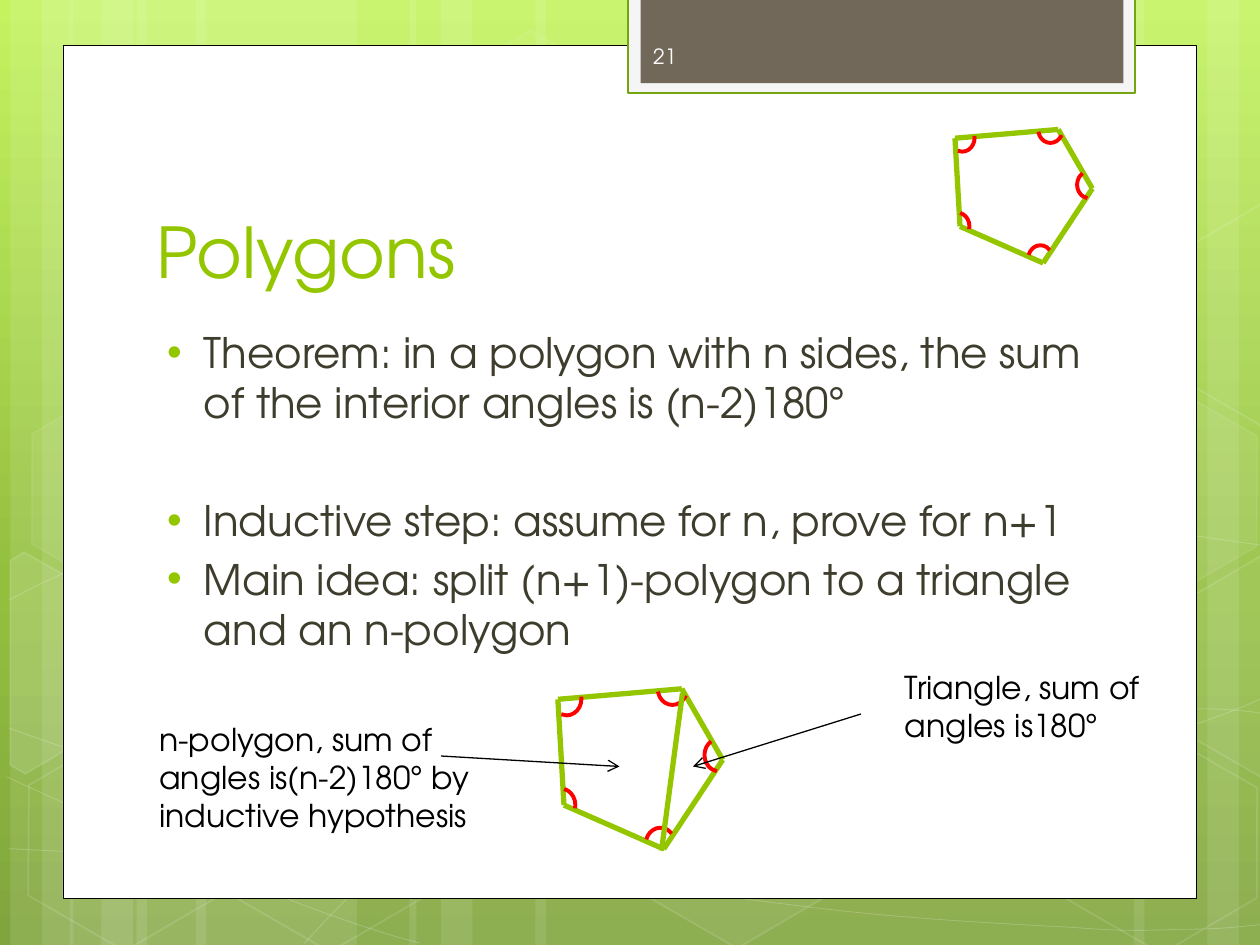
from dataclasses import dataclass
from math import cos, radians, sin

from lxml.etree import SubElement
from pptx import Presentation
from pptx.dml.color import RGBColor
from pptx.enum.shapes import MSO_CONNECTOR as Link, MSO_SHAPE as Preset
from pptx.enum.text import MSO_ANCHOR as Anchor, MSO_AUTO_SIZE as AutoSize
from pptx.oxml.ns import qn
from pptx.util import Pt


@dataclass(frozen=True)
class Theme:
    font: str = "TeX Gyre Adventor"
    white: str = "FFFFFF"
    black: str = "000000"
    green: str = "94C600"
    red: str = "FF0000"
    body_ink: str = "3E3D2D"
    tab_edge: str = "74A510"
    tab_mat: str = "F5F5F5"
    tab: str = "71685A"
    number_ink: str = "FEFEFE"
    backdrop: tuple = ((0, "C3F35F"), (62, "93BF3F"), (100, "81A53E"))
    title_size: int = 40
    body_size: int = 24
    label_size: int = 18
    number_size: int = 12


def paint(fill, color, opacity=100):
    if color is None:
        fill.background()
        return
    fill.solid()
    fill.fore_color.rgb = RGBColor.from_string(color)
    if opacity < 100:
        tint = fill._xPr.find(".//" + qn("a:srgbClr"))
        SubElement(tint, qn("a:alpha"), val=str(opacity * 1000))


def assign(target, values):
    for name, value in values.items():
        setattr(target, name, value)


def bend(shape):
    """Turn every three line segments of an outline into one cubic curve."""
    segments = shape._element.findall(".//" + qn("a:lnTo"))
    for first, second, third in zip(*[iter(segments)] * 3):
        first.tag = qn("a:cubicBezTo")
        for segment in (second, third):
            first.append(segment[0])
            segment.getparent().remove(segment)


def turn(points, center, degrees):
    c, s = cos(radians(degrees)), sin(radians(degrees))
    cx, cy = center
    return [(cx + (x - cx) * c - (y - cy) * s, cy + (x - cx) * s + (y - cy) * c)
            for x, y in points]


class Painter:
    def __init__(self, page, theme):
        self.page, self.theme = page, theme
        self.shapes = page.shapes

    def open_group(self):
        self.shapes = self.page.shapes.add_group_shape().shapes

    def close_group(self):
        self.shapes = self.page.shapes

    def backdrop(self):
        fill = self.page.background.fill
        fill.gradient()
        fill.gradient_angle = 270
        stops = self.page._element.find(".//" + qn("a:gsLst"))
        for stop in list(stops):
            stops.remove(stop)
        for position, color in self.theme.backdrop:
            stop = SubElement(stops, qn("a:gs"), pos=str(position * 1000))
            SubElement(stop, qn("a:srgbClr"), val=color)

    def finish(self, shape, fill=None, opacity=100, line=None, width=1, line_opacity=100):
        shape.shadow.inherit = False
        paint(shape.fill, fill, opacity)
        paint(shape.line.fill, line, line_opacity)
        if line:
            shape.line.width = Pt(width)

    def preset(self, kind, frame, adjust=(), rotation=0, **look):
        shape = self.shapes.add_shape(kind, *map(Pt, frame))
        for i, value in enumerate(adjust):
            shape.adjustments[i] = value
        shape.rotation = rotation
        self.finish(shape, **look)

    def outline(self, points, close=False, rotation=0, curved=False, **look):
        (x, y), *rest = [(Pt(x), Pt(y)) for x, y in points]
        builder = self.shapes.build_freeform(x, y, scale=1.0)
        builder.add_line_segments(rest, close=close)
        shape = builder.convert_to_shape()
        if curved:
            bend(shape)
        shape.rotation = rotation
        self.finish(shape, **look)

    def line(self, start, end, color, width, arrow=False):
        link = self.shapes.add_connector(Link.STRAIGHT, *map(Pt, (*start, *end)))
        paint(link.line.fill, color)
        link.line.width = Pt(width)
        if arrow:
            SubElement(link.line._get_or_add_ln(), qn("a:tailEnd"), type="arrow")
        SubElement(link._element.spPr, qn("a:effectLst"))

    def text(self, frame, lines, size, color, gaps=None, **format_values):
        """Write one paragraph per line; gaps (space before each) make it a bulleted list."""
        box = self.shapes.add_textbox(*map(Pt, frame)).text_frame
        assign(box, {"word_wrap": True, **format_values})
        for i, line in enumerate(lines):
            para = box.paragraphs[0] if i == 0 else box.add_paragraph()
            span = para.add_run()
            span.text = line
            assign(span.font, {"name": self.theme.font, "size": Pt(size)})
            span.font.color.rgb = RGBColor.from_string(color)
            if gaps:
                para.space_before = Pt(gaps[i])
                self.bullet(para)

    def bullet(self, para):
        props = para._p.get_or_add_pPr()
        props.set("marL", str(Pt(27)))
        props.set("indent", str(Pt(-21.6)))
        SubElement(SubElement(props, qn("a:buClr")), qn("a:srgbClr"), val=self.theme.green)
        SubElement(props, qn("a:buSzPct"), val="76000")
        SubElement(props, qn("a:buFont"), typeface=self.theme.font)
        SubElement(props, qn("a:buChar"), char="•")

    def pentagon(self, left, top, scale=1):
        def place(x, y):
            return left + x * scale, top + y * scale

        for start, end in SIDES:
            self.line(place(*start), place(*end), self.theme.green, 3)
        for x, y, *angles in ANGLE_MARKS:
            self.preset(Preset.ARC, (*place(x, y), 14.1 * scale, 15.6 * scale), angles,
                        line=self.theme.red, width=2.25)


A, B, C, D, E = (0, 5), (59, 0), (78.5, 33.8), (50.4, 76.3), (2.9, 55.4)
SIDES = [(A, B), (C, B), (D, C), (E, D), (A, E)]
ANGLE_MARKS = [(-2.9, -2.9, 210.32, 65.45), (47.5, -7.9, 16.7, 100.71),
               (69.8, 23.8, 59.06, 143.59), (41.8, 66.2, 119.16, 189.82),
               (-5.8, 47.5, 169.78, 8.13)]
BANDS = [(78, 126), (6, 36), (24, 60), (112, 126), (40, 36), (58, 60),
         (528, 126), (690, 36), (648, 60), (306, 222), (234, 36), (252, 60)]
# a start point, then three points for each cubic curve
CURVES = [
    [(5, 485), (44, 487), (83, 489), (137, 488), (191, 487), (258, 486), (330, 479),
     (402, 472), (504, 458), (570, 444), (636, 431), (703, 409), (725, 397)],
    [(5, 343), (26, 332), (47, 321), (87, 310), (128, 300), (186, 284), (250, 279),
     (314, 274), (392, 273), (471, 279), (550, 284), (682, 307), (725, 312)],
    [(4, 444), (91, 484), (178, 523), (240, 539)],
    [(5, 416), (27, 424), (50, 432), (92, 444), (134, 454), (197, 472), (257, 485),
     (317, 497), (392, 510), (452, 517), (512, 525), (576, 528), (614, 530),
     (652, 533), (662, 531), (680, 531), (699, 531), (712, 529), (725, 528)],
    [(174, 539), (187, 525), (200, 510), (217, 498), (235, 485), (259, 470), (279, 460),
     (300, 450), (312, 446), (338, 438), (364, 431), (413, 421), (438, 416),
     (464, 411), (467, 411), (490, 410), (512, 407), (547, 405), (572, 405),
     (597, 404), (638, 405), (638, 405), (654, 405), (670, 405), (686, 405),
     (699, 405), (711, 406), (724, 408)],
]
# left, top, fill opacity, line opacity
HEXAGONS = [(240.5, 26, 4, 8), (358, 424, 6, 12), (8, 425.5, 0, 12), (10, 224.6, 7, 8),
            (125.3, 426, 0, 12), (542, 326, 10, 12), (600.5, 427, 0, 12), (600.5, 226, 7, 8)]
LEFT_CUT = [(5.8, 320.4), (13.7, 315.4), (69.1, 347), (68.4, 410.4), (14.4, 442.1), (5.8, 437)]
RIGHT_CUT = [(666.7, 349.2), (720.7, 317.5), (726.5, 321.1), (726.5, 441.4),
             (721.4, 444.2), (666.7, 412.6)]
HIGHER_CUT = [(x, y - 200.9) for x, y in RIGHT_CUT]
# corners, center, fill opacity
CUT_HEXAGONS = [(LEFT_CUT, (25.9, 385.2), 10), (RIGHT_CUT, (709.2, 374.4), 4),
                (HIGHER_CUT, (709.2, 173.5), 0)]


def draw_scenery(painter, theme):
    painter.backdrop()
    painter.open_group()
    for left, width in BANDS:
        painter.preset(Preset.RECTANGLE, (left, 0, width, 540), fill=theme.white, opacity=10)
    for curve in CURVES:
        painter.outline(curve, curved=True, line=theme.white, width=0.5, line_opacity=20)
    for left, top, opacity, line_opacity in HEXAGONS:
        painter.preset(Preset.HEXAGON, (left, top, 126, 109.4), (0.285, 1.155), 30,
                       fill=theme.white if opacity else None, opacity=opacity,
                       line=theme.white, line_opacity=line_opacity)
    for corners, center, opacity in CUT_HEXAGONS:
        painter.outline(turn(corners, center, -30), True, 30,
                        fill=theme.white if opacity else None, opacity=opacity,
                        line=theme.white, line_opacity=12)
    painter.close_group()
    painter.preset(Preset.RECTANGLE, (36, 26, 648, 487.2), fill=theme.white,
                   line=theme.black, width=0.5)
    painter.preset(Preset.RECTANGLE, (359, -1.5, 289.5, 54.7), fill=theme.tab_mat,
                   line=theme.tab_edge, width=1.25)
    painter.preset(Preset.RECTANGLE, (366, -1.5, 276, 49), fill=theme.tab)


def main():
    theme = Theme()
    deck = Presentation()
    assign(deck, {"slide_width": Pt(720), "slide_height": Pt(540)})
    painter = Painter(deck.slides.add_slide(deck.slide_layouts[6]), theme)
    draw_scenery(painter, theme)

    painter.text((82.4, 80.6, 553, 90), ["Polygons"], theme.title_size, theme.green,
                 vertical_anchor=Anchor.BOTTOM)
    painter.text((82.4, 183, 553.5, 303),
                 ["Theorem: in a polygon with n sides, the sum of the interior angles is (n-2)180°",
                  "Inductive step: assume for n, prove for n+1",
                  "Main idea: split (n+1)-polygon to a triangle and an n-polygon"],
                 theme.body_size, theme.body_ink, gaps=(4.8, 38.3, 4.8))
    painter.text((366.2, 17.6, 105, 28.8), ["21"], theme.number_size, theme.number_ink,
                 vertical_anchor=Anchor.MIDDLE)

    painter.open_group()
    painter.pentagon(545.7, 74)
    painter.close_group()
    painter.pentagon(318.8, 393.6, 1.2)
    painter.line((378, 486), (390, 396), theme.green, 3)
    for frame, label, start, end in [
        ((510, 378, 150, 51), "Triangle, sum of angles is180°", (492, 408), (396, 438)),
        ((84, 408, 210, 73), "n-polygon, sum of angles is(n-2)180° by inductive hypothesis",
         (252, 432), (354, 438)),
    ]:
        painter.line(start, end, theme.black, 0.75, arrow=True)
        painter.text(frame, [label], theme.label_size, theme.black,
                     auto_size=AutoSize.SHAPE_TO_FIT_TEXT)
    deck.save("out.pptx")


if __name__ == "__main__":
    main()
